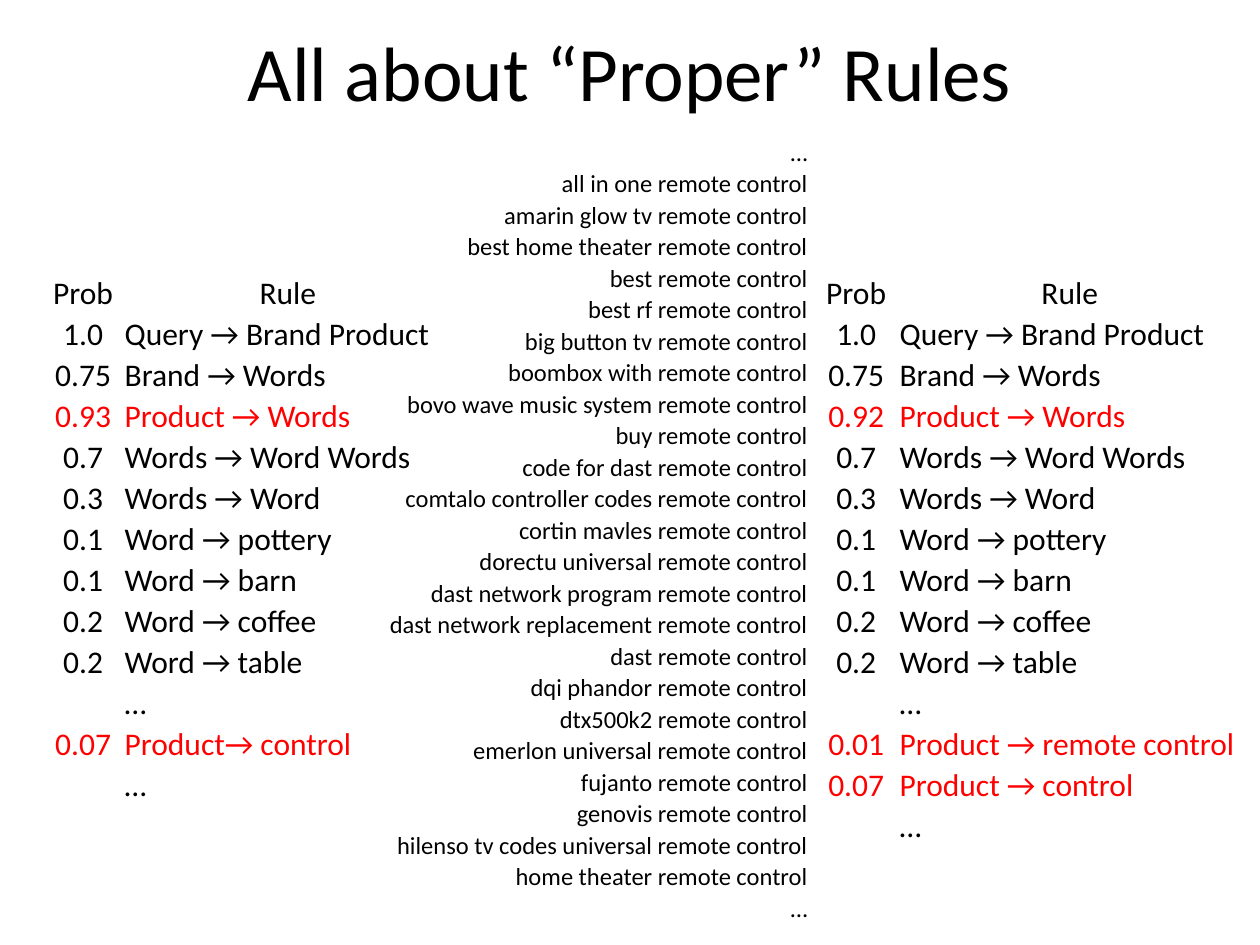
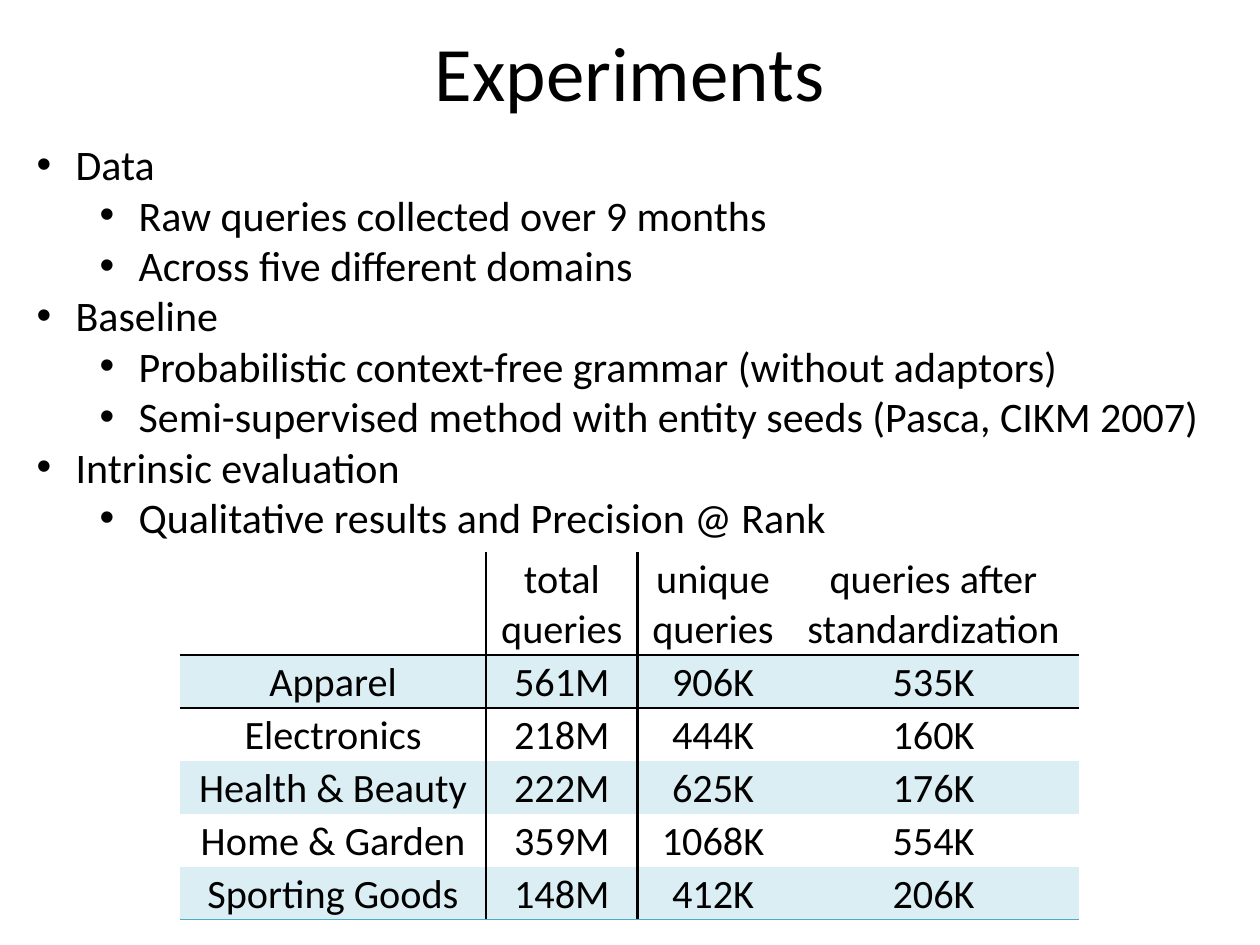
from lxml import etree
from pptx import Presentation
from pptx import util as u
from pptx.dml.color import RGBColor
from pptx.enum import text
from pptx.oxml import ns

# Shared look
FONT = "Calibri"
BLACK = RGBColor(0x00, 0x00, 0x00)
RED = RGBColor(0xFF, 0x00, 0x00)
PALE_BLUE = RGBColor(0xDA, 0xEE, 0xF3)
TEAL = RGBColor(0x4B, 0xAC, 0xC6)
SLIDE_SIZE = (10, 7.5)
TITLE_BOX = (0.5, 0.12, 9, 0.89)
TITLE_ONLY, TITLE_AND_BODY = 5, 1
PLAIN_TABLE_STYLE = "{2D5ABB26-0587-4C30-8999-92F81FD0307C}"
LEFT, CENTER, RIGHT = (text.PP_ALIGN.LEFT, text.PP_ALIGN.CENTER,
                       text.PP_ALIGN.RIGHT)
BOTTOM, MIDDLE = text.MSO_ANCHOR.BOTTOM, text.MSO_ANCHOR.MIDDLE

# Slide 1 content
RULES_TITLE = "All about “Proper” Rules"
RULES_HEADER = ("Prob", "Rule")


def grammar(product_prob, learned_rules):
    """The common grammar with its product rules filled in."""
    return [
        RULES_HEADER,
        ("1.0", "Query → Brand Product"),
        ("0.75", "Brand → Words"),
        (product_prob, "Product → Words"),
        ("0.7", "Words → Word Words"),
        ("0.3", "Words → Word"),
        ("0.1", "Word → pottery"),
        ("0.1", "Word → barn"),
        ("0.2", "Word → coffee"),
        ("0.2", "Word → table"),
        ("", "…"),
        *learned_rules,
        ("", "…"),
    ]


RULES_BEFORE = grammar("0.93", [("0.07", "Product→ control")])
RULES_AFTER = grammar("0.92", [("0.01", "Product → remote control"),
                               ("0.07", "Product → control")])
QUERY_STARTS = [
    "all in one", "amarin glow tv", "best home theater", "best", "best rf",
    "big button tv", "boombox with", "bovo wave music system", "buy",
    "code for dast", "comtalo controller codes", "cortin mavles",
    "dorectu universal", "dast network program", "dast network replacement",
    "dast", "dqi phandor", "dtx500k2", "emerlon universal", "fujanto",
    "genovis", "hilenso tv codes universal", "home theater",
]
QUERIES = ["…", *(f"{start} remote control" for start in QUERY_STARTS), "…"]

# Slide 2 content
EXPERIMENTS_TITLE = "Experiments"
OUTLINE = [
    ("Data", ["Raw queries collected over 9 months",
              "Across five different domains"]),
    ("Baseline", ["Probabilistic context-free grammar (without adaptors)",
                  "Semi-supervised method with entity seeds (Pasca, CIKM 2007)"]),
    ("Intrinsic evaluation", ["Qualitative results and Precision @ Rank"]),
]
QUERY_COUNTS = [
    ("", "total queries", "unique queries", "queries after standardization"),
    ("Apparel", "561M", "906K", "535K"),
    ("Electronics", "218M", "444K", "160K"),
    ("Health & Beauty", "222M", "625K", "176K"),
    ("Home & Garden", "359M", "1068K", "554K"),
    ("Sporting Goods", "148M", "412K", "206K"),
]


def format_font(font, size, color=BLACK):
    font.name, font.size, font.color.rgb = FONT, u.Pt(size), color


def place(shape, box):
    shape.left, shape.top, shape.width, shape.height = map(u.Inches, box)


def add_slide(presentation, layout, title):
    slide = presentation.slides.add_slide(presentation.slide_layouts[layout])
    shape = slide.shapes.title
    place(shape, TITLE_BOX)
    frame = shape.text_frame
    frame.text = title
    frame.vertical_anchor = MIDDLE
    frame.auto_size = text.MSO_AUTO_SIZE.NONE
    frame.paragraphs[0].alignment = CENTER
    format_font(frame.paragraphs[0].runs[0].font, 44)
    return slide


def add_table(slide, rows, corner, widths, heights, size, anchor, inset,
              align, color=lambda row: BLACK):
    """A plain table; align gets (row, column), color gets a row's values."""
    box = (*corner, sum(widths), sum(heights))
    frame = slide.shapes.add_table(len(rows), len(widths), *map(u.Inches, box))
    table = frame.table
    table.first_row = table.horz_banding = False
    table._tbl.tblPr.find(ns.qn("a:tableStyleId")).text = PLAIN_TABLE_STYLE
    for column, width in zip(table.columns, widths):
        column.width = u.Inches(width)
    for r, (values, height) in enumerate(zip(rows, heights)):
        table.rows[r].height = u.Inches(height)
        for c, value in enumerate(values):
            cell = table.cell(r, c)
            cell.fill.background()
            cell.vertical_anchor = anchor
            cell.margin_left = cell.margin_right = u.Inches(inset)
            cell.margin_top, cell.margin_bottom = u.Inches(inset), 0
            cell.text = value
            paragraph = cell.text_frame.paragraphs[0]
            paragraph.alignment = align(r, c)
            format_font(paragraph.font, size)
            for run in paragraph.runs:
                format_font(run.font, size, color(values))
    return table


def add_borders(cell, borders):
    """Draw (edge, color, points) lines, given in the order L, R, T, B."""
    properties = cell._tc.get_or_add_tcPr()
    for position, (edge, color, points) in enumerate(borders):
        line = etree.Element(ns.qn(f"a:ln{edge}"), w=str(u.Pt(points)))
        fill = etree.SubElement(line, ns.qn("a:solidFill"))
        etree.SubElement(fill, ns.qn("a:srgbClr"), val=str(color))
        properties.insert(position, line)


def add_bullet(paragraph, level):
    properties = paragraph._p.get_or_add_pPr()
    properties.set("marL", str(u.Inches(0.31 + 0.5 * level)))
    properties.set("indent", str(-u.Inches(0.31)))
    etree.SubElement(properties, ns.qn("a:buFont"), typeface="Arial")
    etree.SubElement(properties, ns.qn("a:buChar"), char="•")


def build_rules_slide(presentation):
    slide = add_slide(presentation, TITLE_ONLY, RULES_TITLE)

    # Grammar on both sides, product rules in red
    for rules, left, widths in ((RULES_AFTER, 6.47, (0.65, 2.74)),
                                (RULES_BEFORE, 0.35, (0.62, 2.63))):
        add_table(slide, rules, (left, 2.16), widths, [0.32] * len(rules),
                  18, BOTTOM, 0.02,
                  lambda r, c: CENTER if r == 0 or c == 0 else LEFT,
                  lambda row: RED if row[1].startswith("Product") else BLACK)

    # Queries in the middle
    add_table(slide, [(query,) for query in QUERIES], (3.08, 1.08), (3.34,),
              [0.25] * len(QUERIES), 14, BOTTOM, 0.01, lambda r, c: RIGHT)


def build_experiments_slide(presentation):
    slide = add_slide(presentation, TITLE_AND_BODY, EXPERIMENTS_TITLE)

    # Two-level outline
    body = slide.placeholders[1]
    place(body, (0.19, 1.05, 9.59, 3.33))
    frame = body.text_frame
    frame.auto_size = text.MSO_AUTO_SIZE.NONE
    lines = [(line, level) for topic, details in OUTLINE
             for line, level in [(topic, 0), *((d, 1) for d in details)]]
    frame.text = "\n".join(line for line, _ in lines)
    for paragraph, (_, level) in zip(frame.paragraphs, lines):
        paragraph.level = level
        paragraph.space_before = u.Pt(0)
        add_bullet(paragraph, level)
        format_font(paragraph.runs[0].font, 24)

    # Query counts: ruled header and first column, shaded odd rows
    last = len(QUERY_COUNTS) - 1
    table = add_table(slide, QUERY_COUNTS, (1.43, 4.38), (2.43, 1.2, 1.2, 2.3),
                      [0.82] + [0.42] * last, 23, MIDDLE, 0.02,
                      lambda r, c: CENTER)
    for r, values in enumerate(QUERY_COUNTS):
        for c in range(len(values)):
            cell = table.cell(r, c)
            edges = {"L": c == 1, "R": c == 0, "T": r == 1, "B": r == 0}
            borders = [(edge, BLACK, 1.5) for edge, drawn in edges.items() if drawn]
            if r == last:
                borders.append(("B", TEAL, 0.5))
            add_borders(cell, borders)
            if r % 2:
                cell.fill.solid()
                cell.fill.fore_color.rgb = PALE_BLUE


def main():
    presentation = Presentation()
    presentation.slide_width, presentation.slide_height = map(u.Inches, SLIDE_SIZE)
    build_rules_slide(presentation)
    build_experiments_slide(presentation)
    presentation.save("out.pptx")


if __name__ == "__main__":
    main()
